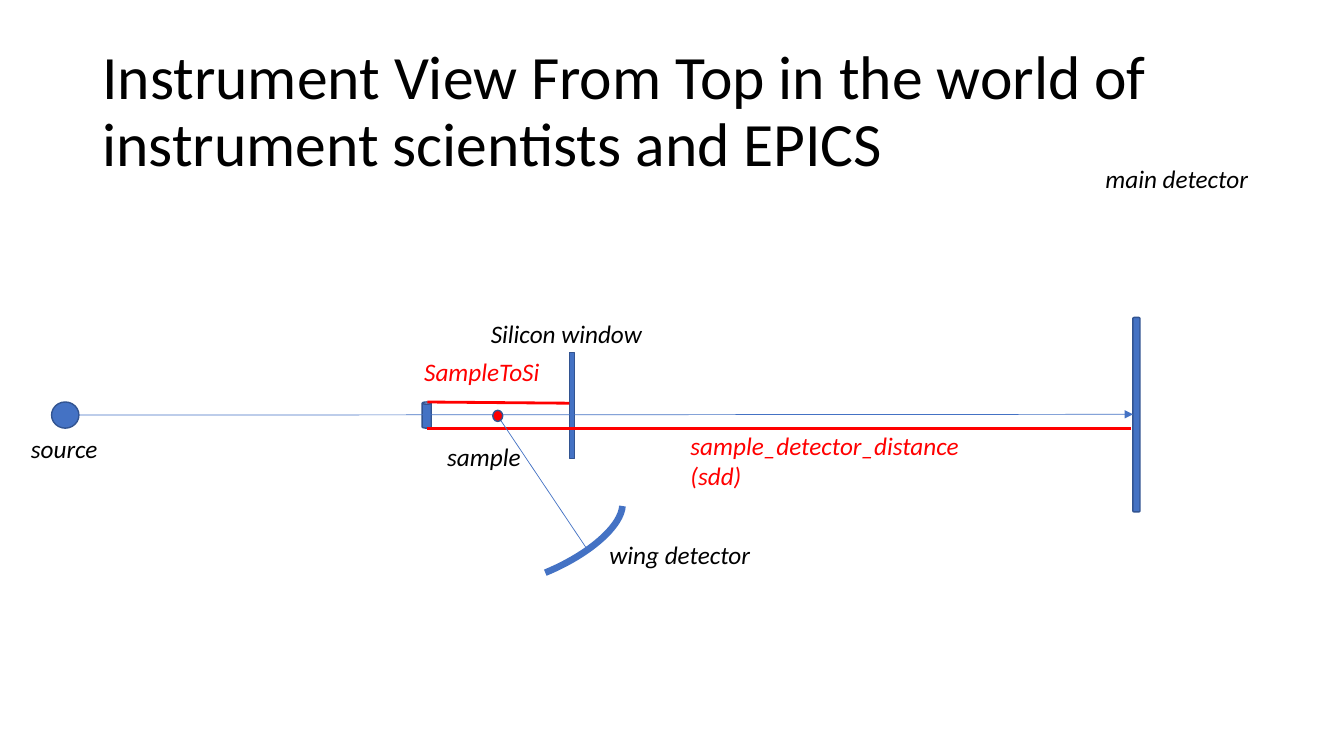
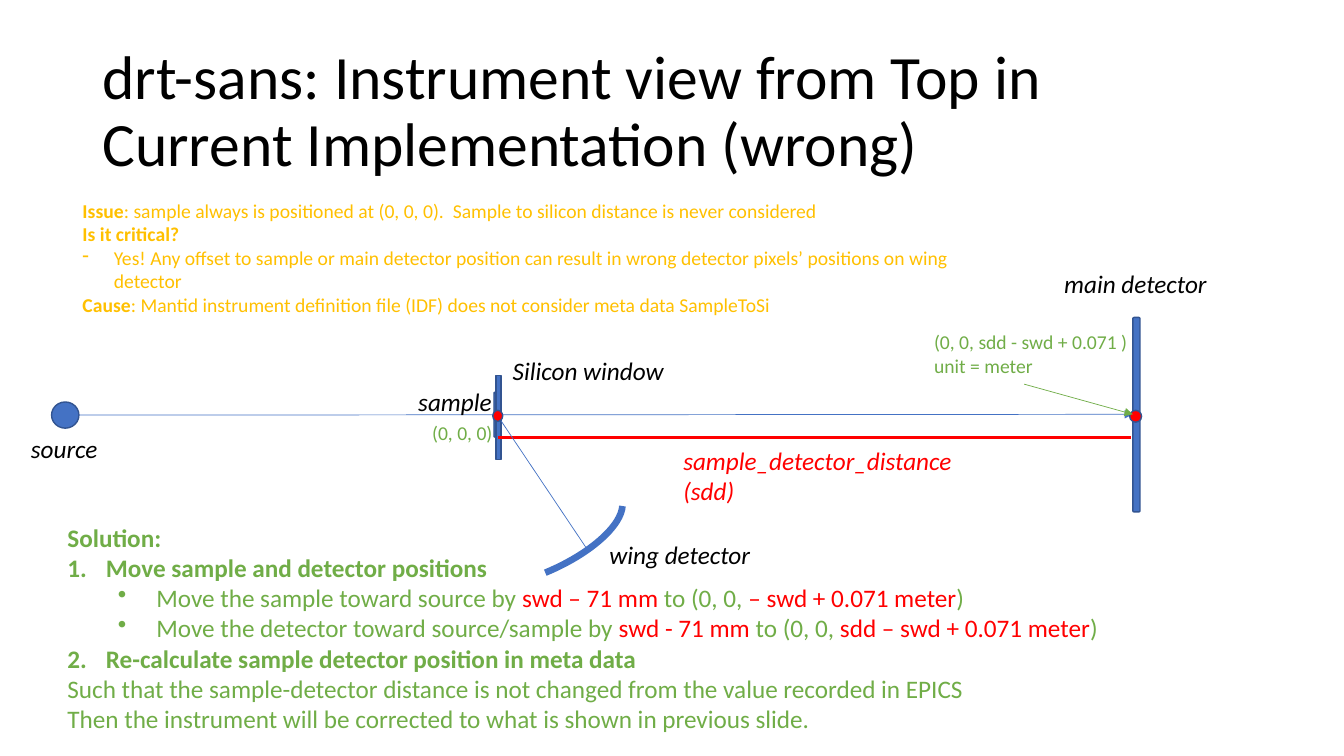
from lxml import etree
from pptx import Presentation
from pptx import util as u
from pptx.dml.color import RGBColor
from pptx.enum import shapes, text
from pptx.oxml.ns import qn

HUES = {"black": "000000", "blue": "4472C4", "edge": "325491",
        "red": "FF0000", "green": "70AD47", "gold": "FFC000"}
FORM = shapes.MSO_SHAPE


def cm(*nums):
    """Turn numbers into centimetre lengths."""
    return [u.Cm(n) for n in nums]


def rgb(hue):
    """Look up a named colour."""
    return RGBColor.from_string(HUES[hue])


class Deck:
    """Holds the style and the current slide."""

    face = "Calibri"

    def __init__(self):
        """Open a wide deck."""
        self.file = Presentation()
        self.file.slide_width, self.file.slide_height = cm(33.87, 19.05)
        self.slide = None

    def page(self, title):
        """Start a slide with its title."""
        self.slide = self.file.slides.add_slide(self.file.slide_layouts[6])
        frame = self.box((2.33, 1.01, 29.21, 3.68))
        frame.vertical_anchor = text.MSO_ANCHOR.MIDDLE
        para = frame.paragraphs[0]
        para.line_spacing = 0.9
        self.fill(para, [title], 44, "black")

    def box(self, area, wrap=True, grow=False):
        """Add an empty text box and return its frame."""
        frame = self.slide.shapes.add_textbox(*cm(*area)).text_frame
        frame.word_wrap = wrap
        if grow:
            frame.auto_size = text.MSO_AUTO_SIZE.SHAPE_TO_FIT_TEXT
        return frame

    def fill(self, para, parts, size, hue, bold=False, slant=False):
        """Fill a paragraph; a part is text or (text, bold, hue)."""
        font = para.font
        font.name, font.size = self.face, u.Pt(size)
        font.bold, font.italic = bold, slant
        font.color.rgb = rgb(hue)
        for part in parts:
            if isinstance(part, str):
                para.text = part
                continue
            words, heavy, tint = part
            run = para.add_run()
            run.text = words
            if heavy != bold:
                run.font.bold = heavy
            if tint != hue:
                run.font.color.rgb = rgb(tint)

    def label(self, words, x, y, w, h=1.02, hue="black"):
        """Add an italic label."""
        frame = self.box((x, y, w, h), wrap=False, grow=True)
        self.fill(frame.paragraphs[0], [words], 18, hue, slant=True)

    def note(self, words, *area):
        """Add a small green note."""
        frame = self.box(area, grow=True)
        self.fill(frame.paragraphs[0], [words], 14, "green")

    def prose(self, area, rows, size, hue, wrap=True):
        """Add paragraphs given as (parts, bold, mark, left, hang, level)."""
        frame = self.box(area, wrap, grow=True)
        for i, (parts, bold, *mark) in enumerate(rows):
            para = frame.add_paragraph() if i else frame.paragraphs[0]
            if mark:
                self.bullet(para, *mark)
            self.fill(para, parts, size, hue, bold)

    def bullet(self, para, sign, left, hang, level=0):
        """Give a paragraph a sign or a running number."""
        para.level = level
        props = para._p.get_or_add_pPr()
        props.set("marL", str(u.Cm(left)))
        props.set("indent", str(-u.Cm(hang)))
        if sign == "1.":
            etree.SubElement(props, qn("a:buAutoNum"), type="arabicPeriod")
        else:
            etree.SubElement(props, qn("a:buChar"), char=sign)

    def shape(self, form, *area, hue="blue"):
        """Add a filled shape with a thin edge."""
        item = self.slide.shapes.add_shape(form, *cm(*area))
        item.shadow.inherit = False
        item.fill.solid()
        item.fill.fore_color.rgb = rgb(hue)
        item.line.color.rgb = rgb("edge")
        item.line.width = u.Pt(1)

    def curve(self, *area):
        """Add the bent outline of the wing detector."""
        item = self.slide.shapes.add_shape(FORM.ARC, *cm(*area))
        item.shadow.inherit = False
        item.fill.background()
        item.line.color.rgb = rgb("blue")
        item.line.width = u.Pt(4.75)
        item.adjustments[0], item.adjustments[1] = 159.5, 213.16
        item.rotation = 156.9
        item._element.spPr.xfrm.set("flipH", "1")

    def line(self, *ends, hue="blue", width=0.5, arrow=False):
        """Add a straight line, with an arrowhead if asked."""
        item = self.slide.shapes.add_connector(
            shapes.MSO_CONNECTOR.STRAIGHT, *cm(*ends))
        item.line.color.rgb = rgb(hue)
        item.line.width = u.Pt(width)
        if arrow:
            etree.SubElement(item.line._get_or_add_ln(), qn("a:tailEnd"),
                             type="triangle")
        etree.SubElement(item._element.spPr, qn("a:effectLst"))

    def span(self, *ends):
        """Add a red distance line."""
        self.line(*ends, hue="red", width=2)

    def scene(self, can, pane, spots, reach):
        """Draw the instrument with movable parts and labels."""
        self.shape(FORM.OVAL, 1.3, 10.13, 0.69, 0.66)
        self.shape(FORM.CAN, *can)
        self.shape(FORM.RECTANGLE, *pane)
        self.shape(FORM.ROUNDED_RECTANGLE, 28.55, 8, 0.18, 4.9)
        self.line(1.98, 10.46, 28.55, 10.44, arrow=True)
        self.label("source", 0.53, 10.8, 2.21)
        names = ("sample", 2.39), ("Silicon window", 4.37), ("main detector", 4.14)
        for (name, wide), spot in zip(names, spots):
            self.label(name, *spot, wide)
        x, y, left, top = reach
        self.span(x, y, 28.5, y)
        self.label("sample_detector_distance\v(sdd)", left, top, 7.34, 1.8, "red")
        self.curve(11, 12.52, 4.85, 1.96)
        self.label("wing detector", 15.11, 13.46, 4.11)
        self.line(12.55, 10.49, 14.83, 13.89)
        self.shape(FORM.OVAL, 12.42, 10.34, 0.25, 0.28, hue="red")


def move(what, shift, goal, end):
    """Build the parts of one move instruction."""
    return [(f"Move the {what} by ", False, "green"), (shift, False, "red"),
            (" to (0, 0, ", False, "green"), (goal, False, "red"),
            (end, False, "green")]


def lead(head, rest):
    """Build a bold gold head with plain text after it."""
    return [(head, True, "gold"), (rest, False, "gold")]


deck = Deck()

deck.page("Instrument View From Top in the world of instrument scientists and EPICS")
deck.scene(can=(10.64, 10.13, 0.23, 0.66), pane=(14.35, 8.89, 0.13, 2.67),
           spots=[(11.02, 11), (12.12, 7.9), (27.61, 3.99)],
           reach=(10.77, 10.8, 17.15, 10.72))
deck.span(10.77, 10.13, 14.35, 10.16)
deck.label("SampleToSi", 10.44, 8.86, 3.45, hue="red")

deck.page("drt-sans: Instrument view from Top in Current Implementation (wrong)")
deck.scene(can=(12.45, 9.88, 0.15, 1.14), pane=(12.5, 9.47, 0.13, 2.11),
           spots=[(10.29, 9.6), (12.67, 8.84), (26.57, 6.63)],
           reach=(12.55, 11.02, 16.97, 11.1))
deck.note("(0, 0, 0)", 10.64, 10.49, 2.03, 0.86)
deck.shape(FORM.OVAL, 28.47, 10.34, 0.3, 0.3, hue="red")
deck.note("(0, 0, sdd - swd + 0.071 )\vunit = meter", 23.29, 8.2, 6.58, 1.45)
deck.line(25.81, 9.68, 28.55, 10.44, hue="green", arrow=True)
deck.prose((1.83, 4.88, 23.75, 3.25), [
    (lead("Issue", ": sample always is positioned at (0, 0, 0).  "
          "Sample to silicon distance is never considered"), False),
    (["Is it critical?"], True),
    (["Yes! Any offset to sample or main detector position can result in "
      "wrong detector pixels’ positions on wing detector"],
     False, "-", 0.79, 0.79),
    (lead("Cause", ": Mantid instrument definition file (IDF) "
          "does not consider meta data SampleToSi"), False),
], 14, "gold")
deck.prose((1.45, 13.03, 26.77, 5.64), [
    (["Solution:"], True),
    (["Move sample and detector positions"], True, "1.", 0.97, 0.97),
    (move("sample toward source", "swd – 71 mm",
          "– swd + 0.071 meter", ") "), False, "•", 2.24, 0.97, 1),
    (move("detector toward source/sample", "swd - 71 mm",
          "sdd – swd + 0.071 meter", ")"), False, "•", 2.24, 0.97, 1),
    (["Re-calculate sample detector position in meta data"],
     True, "1.", 0.97, 0.97),
    (["Such that the sample-detector distance is not changed "
      "from the value recorded in EPICS"], False),
    (["Then the instrument will be corrected to what is shown "
      "in previous slide. "], False),
], 18, "green", wrap=False)

deck.file.save("out.pptx")
